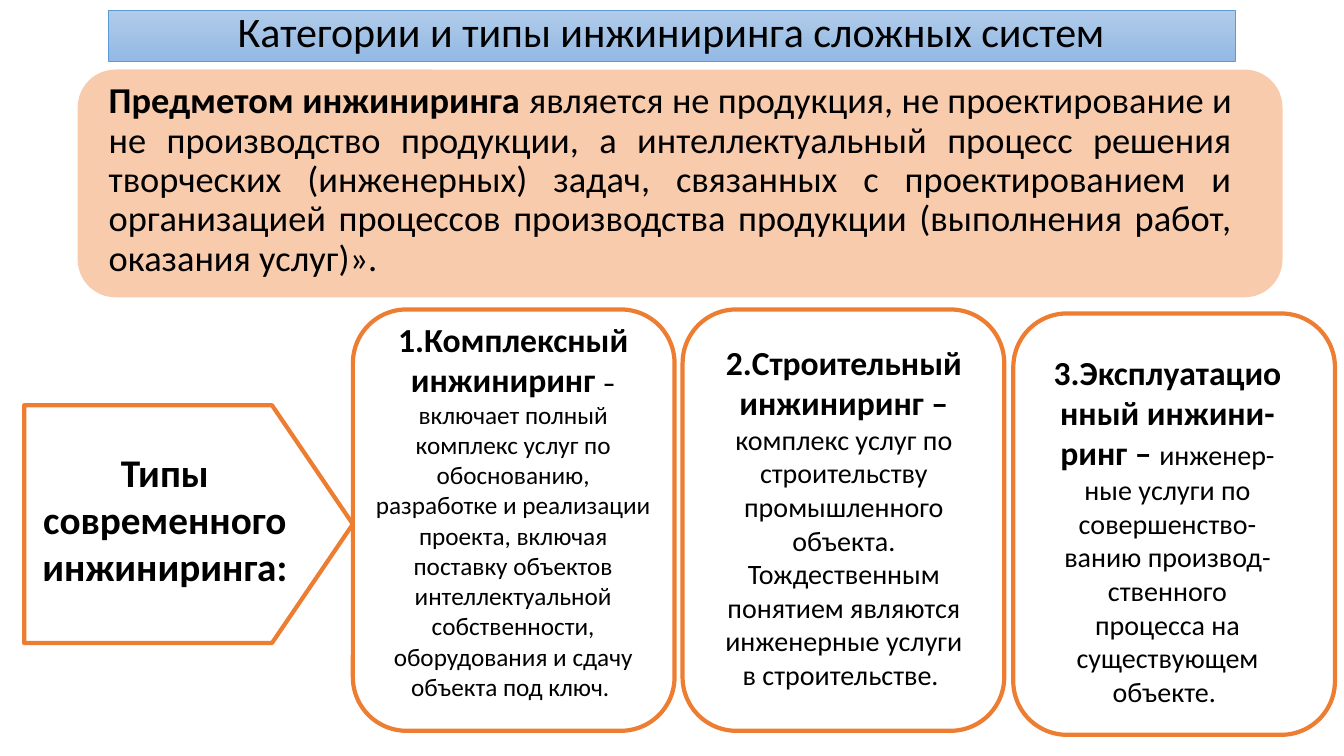
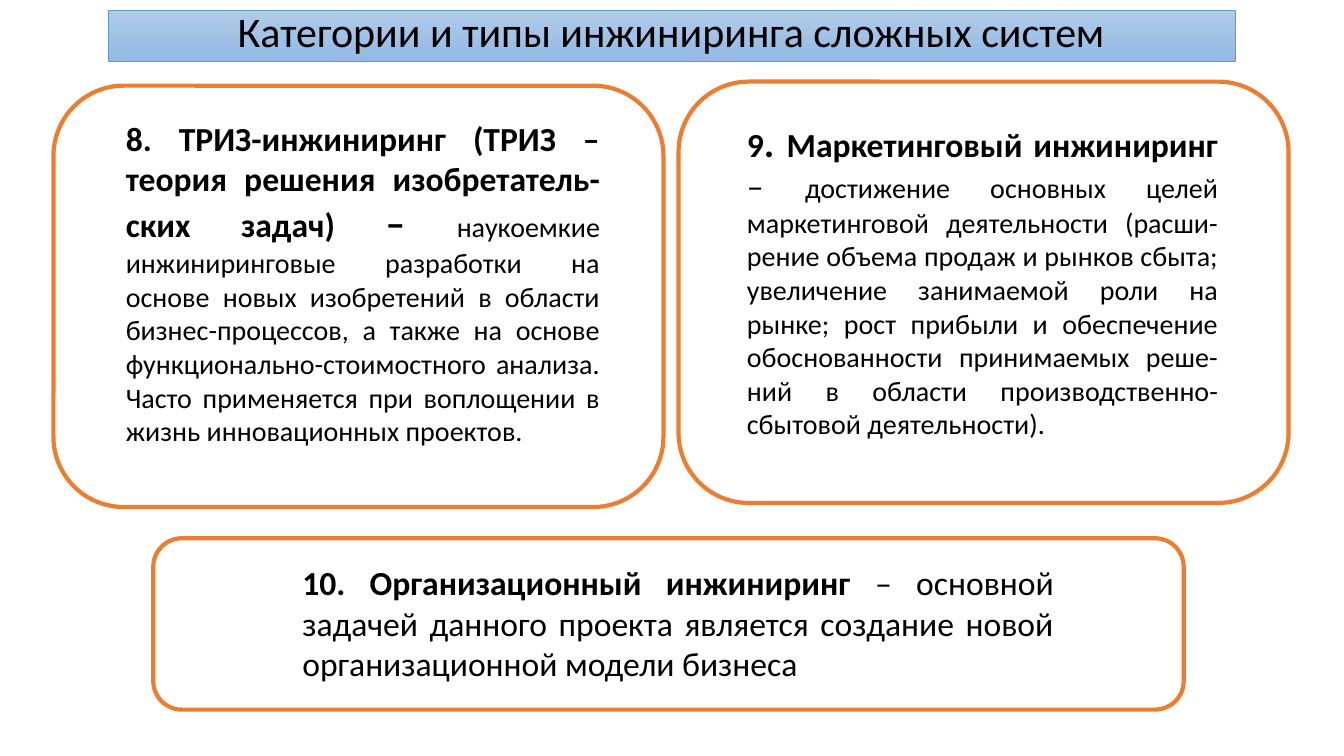
from dataclasses import dataclass

from pptx import Presentation
from pptx.dml.color import RGBColor as Rgb
from pptx.enum.shapes import MSO_SHAPE as Form
from pptx.enum.text import MSO_ANCHOR as Anchor, PP_ALIGN as Align
from pptx.util import Pt

SCALE = 9144


@dataclass(frozen=True)
class Theme:
    font: str = "Calibri"
    ink: str = "000000"
    paper: str = "FFFFFF"
    edge: str = "ED7D31"
    peach: str = "F8CBAD"
    band: tuple = ("B1CBE9", "93B9E4")
    rim: str = "5B9BD5"
    title: int = 30
    label: int = 28
    lead: int = 26
    head: int = 24
    body: int = 20
    small: int = 18
    thick: float = 3
    thin: float = 0.5


THEME = Theme()


def px(*sizes):
    return [size * SCALE for size in sizes]


def write(frame, *parts, align=Align.CENTER, gap=None, anchor=Anchor.TOP):
    frame.word_wrap = True
    frame.vertical_anchor = anchor
    for i, runs in enumerate(parts):
        par = frame.paragraphs[0] if i == 0 else frame.add_paragraph()
        par.alignment = align
        if gap:
            par.line_spacing = gap
        for text, size, bold in runs:
            run = par.add_run()
            run.text = text
            font = run.font
            font.name = THEME.font
            font.size = Pt(size)
            font.bold = bold
            font.color.rgb = Rgb.from_string(THEME.ink)


class Deck:
    def __init__(self, theme):
        self.theme = theme
        self.file = Presentation()
        self.file.slide_width, self.file.slide_height = px(1333, 750)
        self.slide = None

    def page(self, title):
        theme = self.theme
        self.slide = self.file.slides.add_slide(self.file.slide_layouts[5])
        band = self.slide.shapes.title
        band.left, band.top, band.width, band.height = px(107, 10, 1118, 51)
        band.fill.gradient()
        band.fill.gradient_angle = 270
        for stop, tone in zip(band.fill.gradient_stops, theme.band):
            stop.color.rgb = Rgb.from_string(tone)
        self.border(band, theme.rim, theme.thin)
        write(band.text_frame, [(title, theme.title, False)],
              gap=0.8, anchor=Anchor.MIDDLE)

    def border(self, shape, tone, width):
        shape.line.color.rgb = Rgb.from_string(tone)
        shape.line.width = Pt(width)

    def block(self, form, place, fill, edge=None):
        shape = self.slide.shapes.add_shape(form, *px(*place))
        shape.shadow.inherit = False
        shape.fill.solid()
        shape.fill.fore_color.rgb = Rgb.from_string(fill)
        if edge:
            self.border(shape, edge, self.theme.thick)
        else:
            shape.line.fill.background()
        return shape

    def panel(self, place):
        return self.block(Form.ROUNDED_RECTANGLE, place, self.theme.peach)

    def card(self, place):
        return self.block(Form.ROUNDED_RECTANGLE, place,
                          self.theme.paper, self.theme.edge)

    def arrow(self, place, point):
        shape = self.block(Form.PENTAGON, place,
                           self.theme.paper, self.theme.edge)
        shape.adjustments[0] = point

    def text(self, place, *parts, **style):
        box = self.slide.shapes.add_textbox(*px(*place))
        write(box.text_frame, *parts, **style)


TITLE = "Категории и типы инжиниринга сложных систем"

TYPES = [
    (307, (362, 311, 294, 394), [
        [("1.Комплексный инжиниринг ", THEME.head, True),
         ("– ", THEME.small, True),
         ("включает полный комплекс услуг по обоснованию, разработке и "
          "реализации проекта, включая поставку объектов",
          THEME.small, False)],
        [("интеллектуальной собственности, оборудования и сдачу объекта "
          "под ключ. ", THEME.small, False)],
    ]),
    (307, (703, 334, 268, 367), [
        [("2.Строительный инжиниринг –", THEME.head, True),
         ("комплекс услуг по строительству промышленного объекта. "
          "Тождественным понятием являются", THEME.body, False)],
        [("инженерные услуги в строительстве. ", THEME.body, False)],
    ]),
    (311, (1035, 344, 246, 367), [
        [("3.Эксплуатационный инжини-ринг – ", THEME.head, True),
         ("инженер-ные услуги по совершенство-ванию производ-ственного "
          "процесса на существующем объекте. ", THEME.body, False)],
    ]),
]

KINDS = [
    ((53, 85, 605, 418), (115, 112, 490, 340), [
        ("8. ТРИЗ-инжиниринг (ТРИЗ – теория решения изобретатель-ских "
         "задач) ", THEME.head, True),
        ("– ", THEME.label, True),
        ("наукоемкие инжиниринговые разработки на основе новых "
         "изобретений в области бизнес-процессов, а также на основе "
         "функционально-стоимостного анализа. Часто применяется при "
         "воплощении в жизнь инновационных проектов. ",
         THEME.body, False),
    ]),
    ((673, 81, 605, 418), (731, 112, 487, 333), [
        ("9", THEME.head, True),
        (". ", THEME.label, True),
        ("Маркетинговый инжиниринг ", THEME.head, True),
        ("– ", THEME.head, False),
        ("достижение основных целей маркетинговой деятельности "
         "(расши-рение объема продаж и рынков сбыта; увеличение "
         "занимаемой роли на рынке; рост прибыли и обеспечение "
         "обоснованности принимаемых реше-ний в области "
         "производственно-сбытовой деятельности).", THEME.body, False),
    ]),
    ((152, 534, 1022, 170), (290, 553, 765, 131), [
        ("10. Организационный инжиниринг ", THEME.head, True),
        ("– основной задачей данного проекта является создание новой "
         "организационной модели бизнеса", THEME.head, False),
    ]),
]


def main():
    deck = Deck(THEME)

    deck.page(TITLE)
    deck.panel((77, 69, 1195, 226))
    deck.text((98, 77, 1135, 207), [
        ("Предметом инжиниринга ", THEME.lead, True),
        ("является не продукция, не проектирование и не производство "
         "продукции, а интеллектуальный процесс решения творческих "
         "(инженерных) задач, связанных с проектированием и организацией "
         "процессов производства продукции (выполнения работ, оказания "
         "услуг)». ", THEME.lead, False),
    ], align=Align.JUSTIFY, gap=0.9)
    for i, (top, place, parts) in enumerate(TYPES):
        deck.card((350 + 655 * i // 2, top, 319, 418))
        deck.text(place, *parts)
    deck.arrow((24, 402, 326, 236), 0.34)
    deck.text((16, 440, 295, 151),
              [("Типы современного инжиниринга:", THEME.label, True)])

    deck.page(TITLE)
    for frame, place, runs in KINDS:
        deck.card(frame)
        deck.text(place, runs, align=Align.JUSTIFY)

    deck.file.save("out.pptx")


if __name__ == "__main__":
    main()
